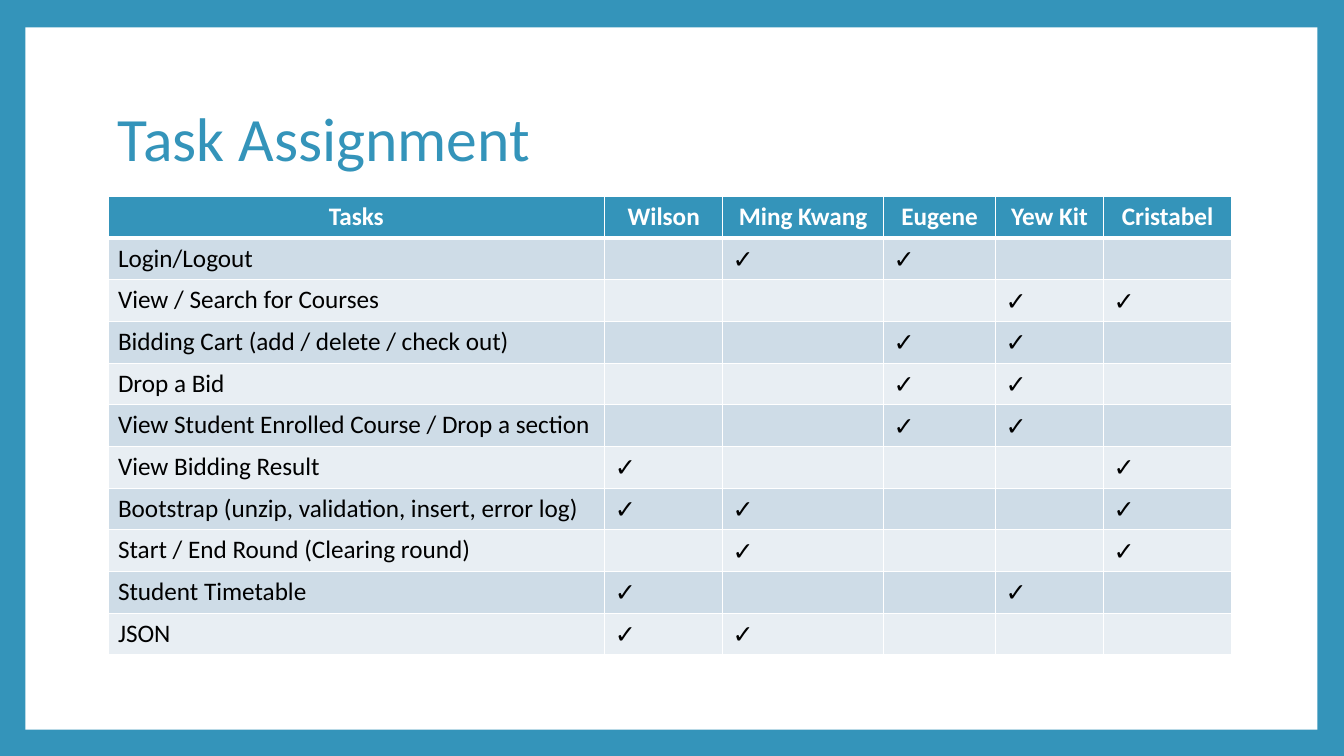
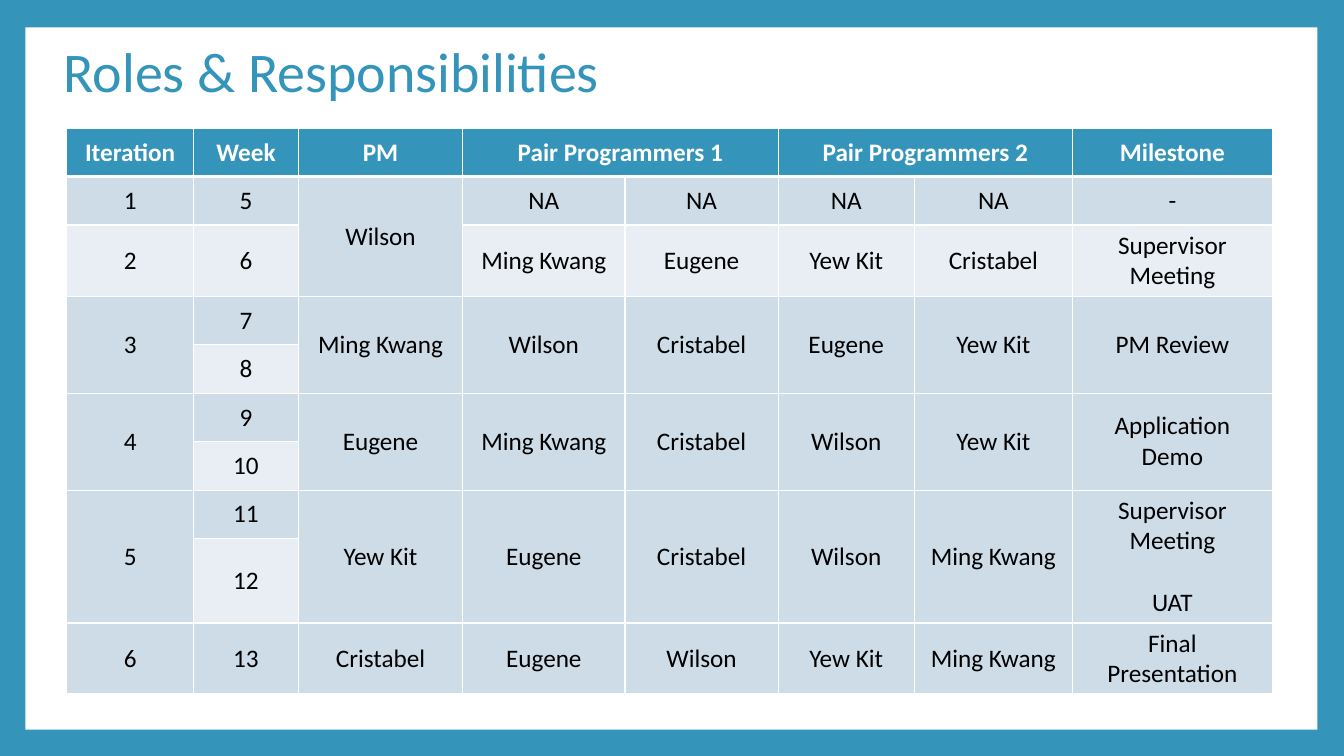
import pptx
import pptx.util
import pptx.dml.color
import pptx.enum.shapes
import pptx.enum.text
import pptx.oxml
import pptx.oxml.ns

Cm = pptx.util.Cm
Pt = pptx.util.Pt
ALIGN = pptx.enum.text.PP_ALIGN
ANCHOR = pptx.enum.text.MSO_ANCHOR

BLUE = "3494BA"
WHITE = "FFFFFF"
BLACK = "000000"
BANDS = ["E8EEF3", "CEDCE7"]
CHECK = "✓"


def paint(color_format, color):
    if isinstance(color_format, pptx.dml.fill.FillFormat):
        color_format.solid()
        color_format = color_format.fore_color
    color_format.rgb = pptx.dml.color.RGBColor.from_string(color)


def set_borders(cell, top, bottom):
    properties = cell._tc.get_or_add_tcPr()
    sides = [("lnL", 1), ("lnR", 1), ("lnT", top), ("lnB", bottom)]
    for position, (side, width) in enumerate(sides):
        properties.insert(position, pptx.oxml.parse_xml(
            f'<a:{side} {pptx.oxml.ns.nsdecls("a")} w="{Pt(width)}"><a:solidFill>'
            f'<a:srgbClr val="{WHITE}"/></a:solidFill></a:{side}>'))


people = ["Wilson", "Ming Kwang", "Eugene", "Yew Kit", "Cristabel"]
assignments = [
    ("Login/Logout", ["Ming Kwang", "Eugene"]),
    ("View / Search for Courses", ["Yew Kit", "Cristabel"]),
    ("Bidding Cart (add / delete / check out)", ["Eugene", "Yew Kit"]),
    ("Drop a Bid", ["Eugene", "Yew Kit"]),
    ("View Student Enrolled Course / Drop a section", ["Eugene", "Yew Kit"]),
    ("View Bidding Result", ["Wilson", "Cristabel"]),
    ("Bootstrap (unzip, validation, insert, error log)",
     ["Wilson", "Ming Kwang", "Cristabel"]),
    ("Start / End Round (Clearing round)", ["Ming Kwang", "Cristabel"]),
    ("Student Timetable", ["Wilson", "Yew Kit"]),
    ("JSON", ["Wilson", "Ming Kwang"]),
]
task_rows = [["Tasks"] + people]
for task, assigned in assignments:
    task_rows.append([task] + [CHECK if person in assigned else "" for person in people])

role_rows = [
    ["Iteration", "Week", "PM", "Pair Programmers 1", None,
     "Pair Programmers 2", None, "Milestone"],
    ["1", "5", "Wilson", "NA", "NA", "NA", "NA", "-"],
    ["2", "6", None, "Ming Kwang", "Eugene", "Yew Kit", "Cristabel", "Supervisor Meeting"],
    ["3", "7", "Ming Kwang", "Wilson", "Cristabel", "Eugene", "Yew Kit", "PM Review"],
    [None, "8"] + [None] * 6,
    ["4", "9", "Eugene", "Ming Kwang", "Cristabel", "Wilson", "Yew Kit", "Application Demo"],
    [None, "10"] + [None] * 6,
    ["5", "11", "Yew Kit", "Eugene", "Cristabel", "Wilson", "Ming Kwang",
     "Supervisor Meeting\nUAT"],
    [None, "12"] + [None] * 6,
    ["6", "13", "Cristabel", "Eugene", "Wilson", "Yew Kit", "Ming Kwang",
     "Final Presentation"],
]

pages = [
    {
        "title": "Task Assignment", "size": 44, "title_at": (2.72, 1.7, 28.32, 3.76),
        "rows": task_rows, "table_at": (2.72, 4.95),
        "widths": [12.52, 2.97, 4.06, 2.82, 2.72, 3.23],
        "heights": [1.05] * 11,
        "align": ALIGN.LEFT, "anchor": ANCHOR.TOP,
    },
    {
        "title": "Roles & Responsibilities", "size": 40, "title_at": (1.35, 0, 27.43, 3.76),
        "rows": role_rows, "table_at": (1.68, 3.23),
        "widths": [3.2, 2.64, 4.14, 4.09, 3.86, 3.43, 3.99, 5.03],
        "heights": [1.22, 1.22, 1.8] + [1.22] * 5 + [2.13, 1.78],
        "align": ALIGN.CENTER, "anchor": ANCHOR.MIDDLE,
    },
]

deck = pptx.Presentation()
deck.slide_width = Cm(33.87)
deck.slide_height = Cm(19.05)
paint(deck.slide_master.background.fill, BLUE)

for content in pages:
    page = deck.slides.add_slide(deck.slide_layouts[6])

    panel = page.shapes.add_shape(pptx.enum.shapes.MSO_SHAPE.RECTANGLE,
                                  Cm(0.64), Cm(0.69), Cm(32.56), Cm(17.7))
    panel.shadow.inherit = False
    paint(panel.fill, WHITE)
    panel.line.fill.background()

    title = page.shapes.add_textbox(*[Cm(length) for length in content["title_at"]])
    title.text_frame.word_wrap = True
    title.text_frame.vertical_anchor = ANCHOR.MIDDLE
    para = title.text_frame.paragraphs[0]
    para.text = content["title"]
    para.line_spacing = 0.9
    para.font.name = "Calibri"
    para.font.size = Pt(content["size"])
    paint(para.font.color, BLUE)

    rows, widths, heights = content["rows"], content["widths"], content["heights"]
    left, top = content["table_at"]
    table = page.shapes.add_table(len(rows), len(widths), Cm(left), Cm(top),
                                  Cm(sum(widths)), Cm(sum(heights))).table
    for column, width in zip(table.columns, widths):
        column.width = Cm(width)
    for row, height in zip(table.rows, heights):
        row.height = Cm(height)

    for row_index, row in enumerate(rows):
        header = row_index == 0
        for column_index, text in enumerate(row):
            cell = table.cell(row_index, column_index)
            paint(cell.fill, BLUE if header else BANDS[row_index % 2])
            set_borders(cell, 3 if row_index == 1 else 1, 3 if header else 1)
            if text is None:
                if header:
                    table.cell(row_index, column_index - 1).merge(cell)
                else:
                    table.cell(row_index - 1, column_index).merge(cell)
                continue
            cell.vertical_anchor = content["anchor"]
            cell.text = text
            for para_index, para in enumerate(cell.text_frame.paragraphs):
                para.alignment = ALIGN.CENTER if header else content["align"]
                if para_index:
                    para.space_before = Pt(22)
                para.font.name = "Quicksand" if text == CHECK else "Calibri"
                para.font.size = Pt(18)
                para.font.bold = header
                paint(para.font.color, WHITE if header else BLACK)

deck.save("out.pptx")
